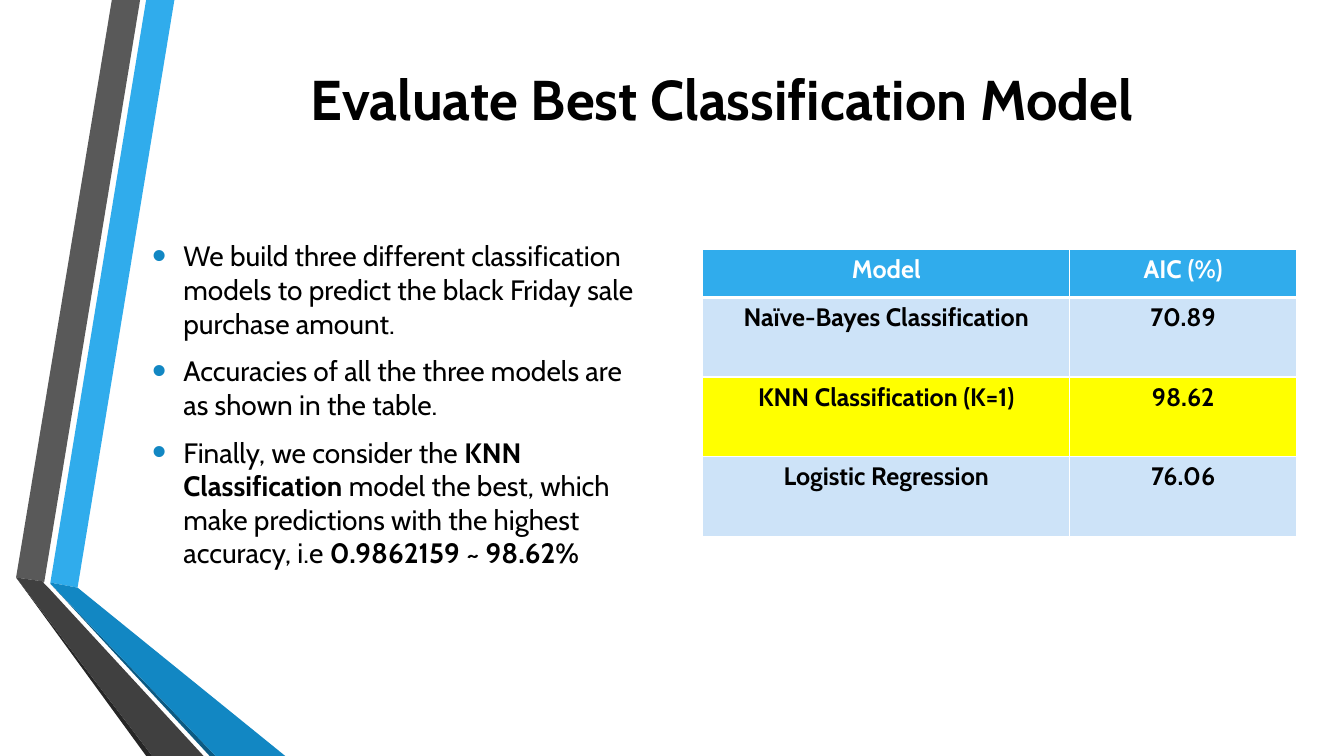
from lxml.etree import SubElement
from pptx import Presentation
from pptx.dml.color import RGBColor
from pptx.enum.text import MSO_ANCHOR, PP_ALIGN
from pptx.oxml import parse_xml
from pptx.oxml.ns import nsdecls, qn
from pptx.util import Inches, Pt

FONT = "Cabin"
BLACK = RGBColor(0x00, 0x00, 0x00)
WHITE = RGBColor(0xFF, 0xFF, 0xFF)
SKY = RGBColor(0x30, 0xAC, 0xEC)
BLUE = RGBColor(0x12, 0x87, 0xC3)
NAVY = RGBColor(0x0C, 0x5A, 0x82)
PALE = RGBColor(0xCD, 0xE3, 0xF8)
YELLOW = RGBColor(0xFF, 0xFF, 0x00)
GREY = RGBColor(0x59, 0x59, 0x59)
DARK_GREY = RGBColor(0x40, 0x40, 0x40)
NEAR_BLACK = RGBColor(0x26, 0x26, 0x26)

# Ribbon outlines from back to front, relative to the ribbon box
RIBBONS = [
    (SKY, [(0.34, 5.78), (0.61, 5.83), (1.57, 0), (1.29, 0)]),
    (GREY, [(1.23, 0), (0.95, 0), (0, 5.73), (0.28, 5.77)]),
    (NEAR_BLACK, [(0, 5.73), (1.29, 7.5), (1.35, 7.5)]),
    (NAVY, [(0.34, 5.79), (1.92, 7.5), (1.98, 7.5)]),
    (BLUE, [(0.34, 5.79), (1.98, 7.5), (2.67, 7.5), (0.61, 5.83), (0.34, 5.78)]),
    (DARK_GREY, [(1.86, 7.5), (0.32, 5.83), (0.27, 5.78), (0.28, 5.77),
                 (0, 5.73), (1.35, 7.5)]),
]

# Each bullet is a list of (text, bold)
BULLETS = [
    [("We build three different classification models to predict the "
      "black Friday sale purchase amount.", False)],
    [("Accuracies of all the three models are as shown in the table.", False)],
    [("Finally, we consider the ", False),
     ("KNN Classification", True),
     (" model the best, which make predictions with the highest accuracy, i.e ", False),
     ("0.9862159 ~ 98.62%", True)],
]

# Each row is (cells, fill, text colour)
TABLE_ROWS = [
    (("Model", "AIC (%)"), SKY, WHITE),
    (("Naïve-Bayes Classification", "70.89"), PALE, BLACK),
    (("KNN Classification (K=1)", "98.62"), YELLOW, BLACK),
    (("Logistic Regression", "76.06"), PALE, BLACK),
]
COLUMN_WIDTHS = (3.64, 2.25)
ROW_HEIGHTS = (0.48, 0.79, 0.79, 0.79)


def add_span(para, text, size, color, bold):
    span = para.add_run()
    span.text = text
    formats = {"name": FONT, "size": Pt(size), "bold": bold}
    for name, value in formats.items():
        setattr(span.font, name, value)
    span.font.color.rgb = color


def add_text_frame(page, left, top, width, height):
    box = page.shapes.add_textbox(
        Inches(left), Inches(top), Inches(width), Inches(height))
    frame = box.text_frame
    frame.word_wrap = True
    frame.vertical_anchor = MSO_ANCHOR.MIDDLE
    return frame


def add_ribbons(page, left, top):
    for color, outline in RIBBONS:
        points = [(Inches(left + x), Inches(top + y)) for x, y in outline]
        builder = page.shapes.build_freeform(*points[0])
        builder.add_line_segments(points[1:], close=True)
        ribbon = builder.convert_to_shape()
        ribbon.shadow.inherit = False
        ribbon.fill.solid()
        ribbon.fill.fore_color.rgb = color
        ribbon.line.fill.background()


def add_title(page, left, top, width, height):
    para = add_text_frame(page, left, top, width, height).paragraphs[0]
    para.alignment = PP_ALIGN.CENTER
    add_span(para, "Evaluate Best Classification Model", 40, BLACK, True)


def set_bullet(para):
    properties = para._p.get_or_add_pPr()
    indent = Inches(0.31)
    properties.set("marL", str(indent))
    properties.set("indent", str(-indent))
    color = SubElement(properties, qn("a:buClr"))
    SubElement(color, qn("a:srgbClr")).set("val", str(BLUE))
    SubElement(properties, qn("a:buSzPct")).set("val", "145000")
    SubElement(properties, qn("a:buFont")).set("typeface", "Arial")
    SubElement(properties, qn("a:buChar")).set("char", "•")


def add_bullets(page, left, top, width, height):
    frame = add_text_frame(page, left, top, width, height)
    for index, spans in enumerate(BULLETS):
        para = frame.add_paragraph() if index else frame.paragraphs[0]
        para.space_before = Pt(4)
        para.space_after = Pt(6)
        set_bullet(para)
        for text, bold in spans:
            add_span(para, text, 20, BLACK, bold)


def set_borders(cell, top, bottom):
    """Draw white cell borders; top and bottom are widths in points."""
    properties = cell._tc.get_or_add_tcPr()
    sides = {"L": 1, "R": 1, "T": top, "B": bottom}
    for index, (side, width) in enumerate(sides.items()):
        properties.insert(index, parse_xml(
            f'<a:ln{side} {nsdecls("a")} w="{Pt(width)}"><a:solidFill>'
            f'<a:srgbClr val="{WHITE}"/></a:solidFill></a:ln{side}>'))


def add_accuracy_table(page, left, top):
    table = page.shapes.add_table(
        len(TABLE_ROWS), len(COLUMN_WIDTHS), Inches(left), Inches(top),
        Inches(sum(COLUMN_WIDTHS)), Inches(sum(ROW_HEIGHTS))).table
    table.horz_banding = False
    for column, width in zip(table.columns, COLUMN_WIDTHS):
        column.width = Inches(width)
    for row, height in zip(table.rows, ROW_HEIGHTS):
        row.height = Inches(height)
    for row_index, (texts, fill, color) in enumerate(TABLE_ROWS):
        for column_index, text in enumerate(texts):
            cell = table.cell(row_index, column_index)
            cell.fill.solid()
            cell.fill.fore_color.rgb = fill
            set_borders(cell, top=3 if row_index == 1 else 1,
                        bottom=3 if row_index == 0 else 1)
            para = cell.text_frame.paragraphs[0]
            para.alignment = PP_ALIGN.CENTER
            add_span(para, text, 18, color, True)


def main():
    deck = Presentation()
    deck.slide_width = Inches(13.33)
    deck.slide_height = Inches(7.5)
    page = deck.slides.add_slide(deck.slide_layouts[6])
    add_ribbons(page, 0.16, 0)
    add_title(page, 1.68, 0.4, 10.96, 1.15)
    add_bullets(page, 1.41, 2, 5.08, 4.02)
    add_accuracy_table(page, 6.97, 2.47)
    deck.save("out.pptx")


if __name__ == "__main__":
    main()
